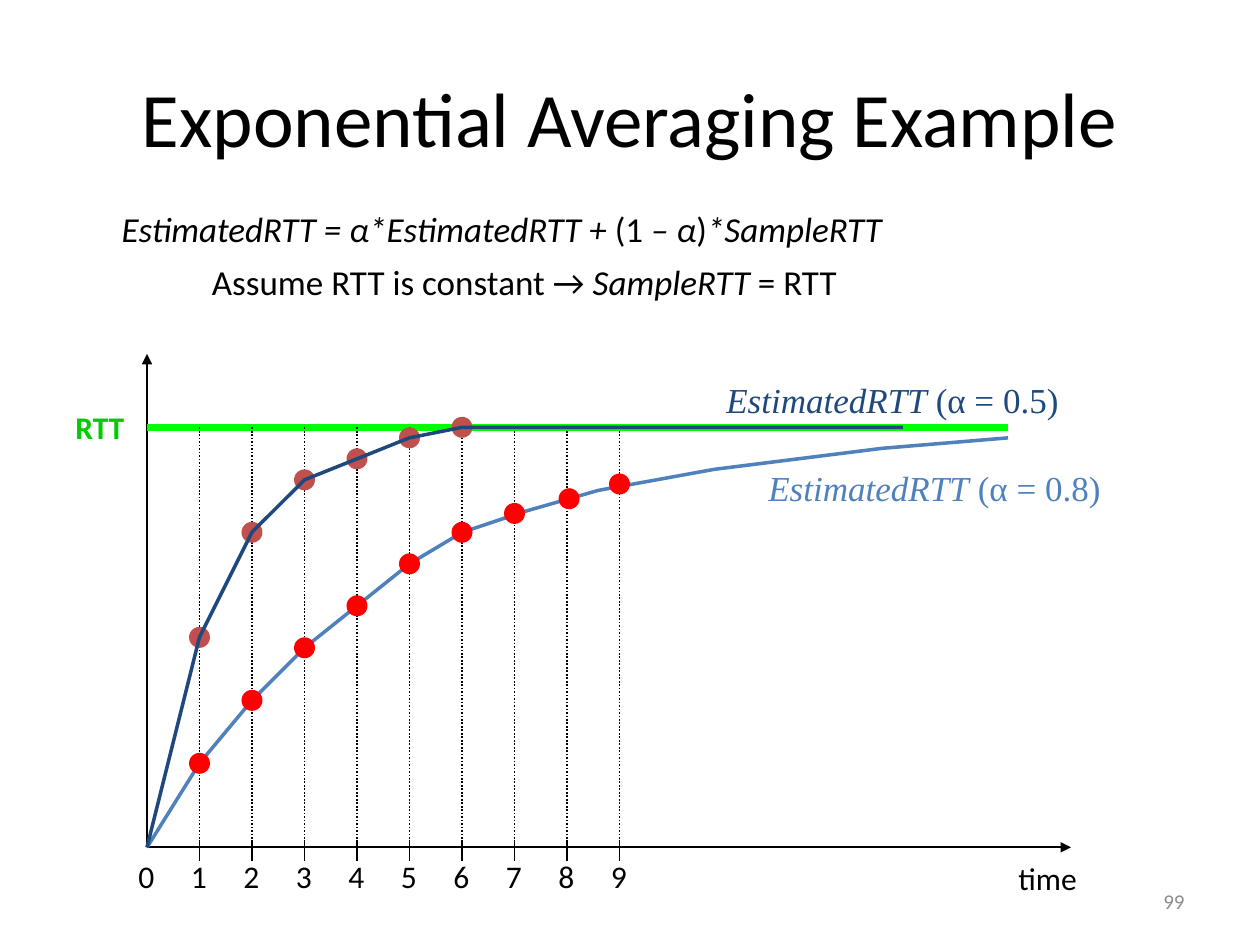
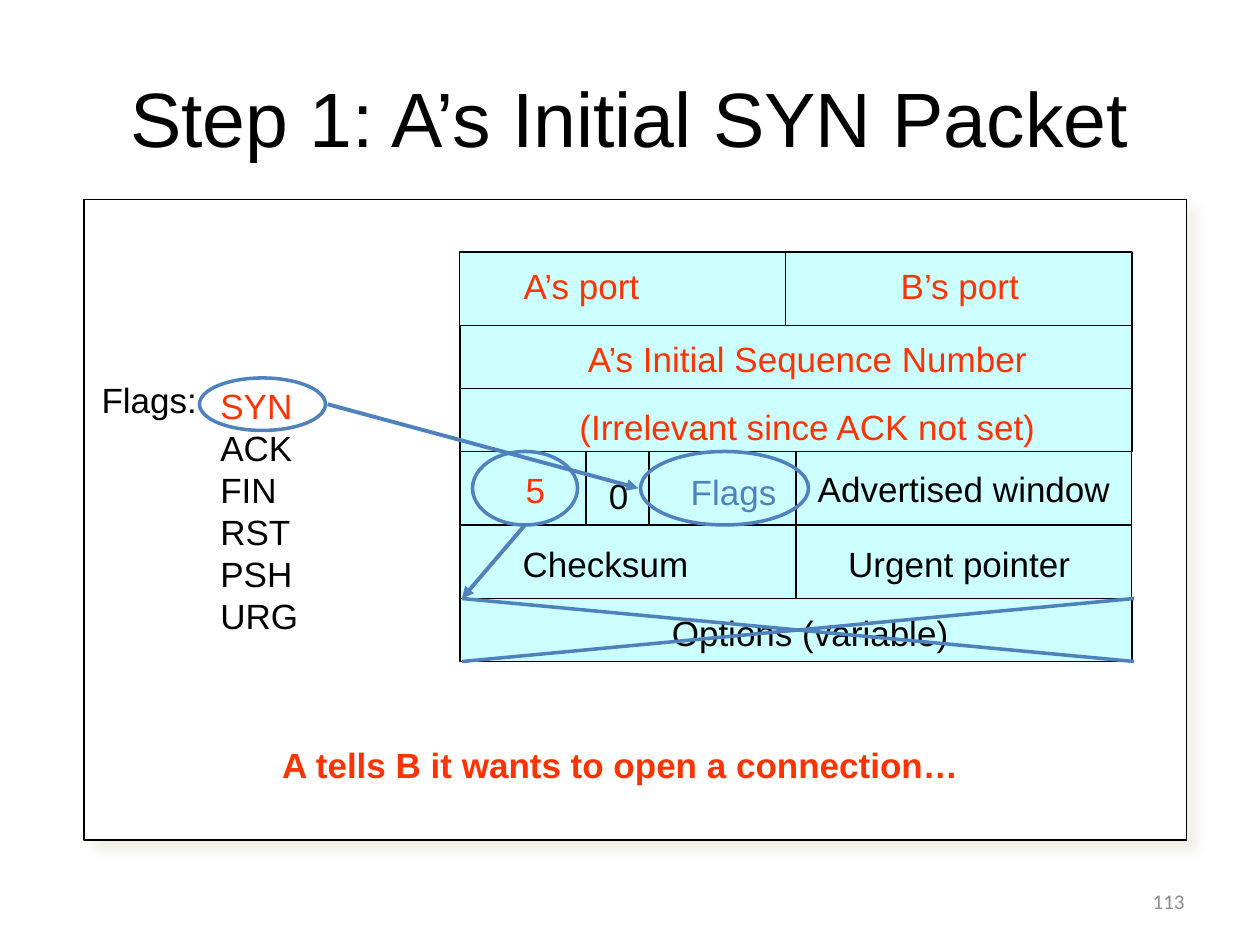
from pptx import Presentation
from pptx import util as u
from pptx.dml.color import RGBColor
from pptx.enum import dml, shapes, text
from pptx.oxml.ns import qn
from lxml import etree

SCALE = 7620  # EMU per px, 120 px to the inch
BLACK = RGBColor(0x00, 0x00, 0x00)
WHITE = RGBColor(0xFF, 0xFF, 0xFF)
GREY = RGBColor(0x8C, 0x8C, 0x8C)
LIME = RGBColor(0x00, 0xFF, 0x00)
GREEN = RGBColor(0x00, 0xCC, 0x00)
BLUE = RGBColor(0x4F, 0x81, 0xBD)
NAVY = RGBColor(0x1F, 0x49, 0x7D)
RED = RGBColor(0xFF, 0x00, 0x00)
BRICK = RGBColor(0xC0, 0x50, 0x4D)
ORANGE = RGBColor(0xFF, 0x33, 0x00)
CYAN = RGBColor(0xCC, 0xFF, 0xFF)
ALIGN = text.PP_ALIGN

# Averaging chart: origin, time step and levels
ORIGIN_X, AXIS_Y, STEP, RTT_Y = 140, 807, 50, 407
SAMPLES = 9
FORMULAS = [  # box, runs as (text, italic)
    ((104, 192, 886, 52), [("EstimatedRTT = α*EstimatedRTT + ", True), ("(1", False),
                           (" – α", True), (")", False), ("*SampleRTT", True)]),
    ((190, 242, 725, 52), [("Assume RTT is constant → ", False), ("SampleRTT", True),
                           (" = RTT", False)]),
]
SLOW_YS = [727, 667, 617, 577, 537, 507]
FAST_YS = [607, 507, 457, 437, 417, 407]
ESTIMATES = [  # steady levels per step, later curve points, later dots
    dict(alpha="0.8", ys=SLOW_YS, color=BLUE, dot=RED, label=(720, 438, 341, 52),
         tail=[(500, 487), (570, 467), (680, 447), (840, 427), (960, 417)],
         extra_dots=[(490, 489), (542, 475), (590, 461)], dots_in_front=True),
    dict(alpha="0.5", ys=FAST_YS, color=NAVY, dot=BRICK, label=(680, 355, 341, 52),
         tail=[(860, RTT_Y)], extra_dots=[], dots_in_front=False),
]

# SYN packet: header rows as (height, field widths)
HEADER_LEFT, HEADER_TOP = 438, 240
HEADER_ROWS = [(70, (310, 330)), (60, (640,)), (60, (640,)),
               (70, (320, 320)), (70, (320, 320)), (60, (640,))]
FIELD_DIVIDERS = [558, 618]
FIELD_LABELS = [
    ("A’s port", (487, 246, 139, 53), ORANGE),
    ("B’s port", (846, 246, 137, 53), ORANGE),
    ("A’s Initial Sequence Number", (548, 316, 450, 53), ORANGE),
    ("(Irrelevant since ACK not set)", (540, 380, 460, 48), ORANGE),
    ("Advertised window", (767, 439, 302, 52), BLACK),
    ("Flags", (646, 442, 106, 52), BLUE),
    ("0", (568, 446, 43, 52), BLACK),
    ("Checksum", (486, 511, 181, 52), BLACK),
    ("Urgent pointer", (796, 511, 235, 52), BLACK),
    ("Options (variable)", (628, 576, 287, 52), BLACK),
]
FLAG_NAMES = ["SYN", "ACK", "FIN", "RST", "PSH", "URG"]
HIGHLIGHTS = [(610, 430, 160, 70), (190, 360, 120, 50), (450, 430, 100, 70)]
POINTERS = [((312, 385), (608, 465)), ((500, 500), (440, 570))]
OPTIONS_CROSS = [((440, 570), (1080, 630)), ((440, 630), (1080, 570))]


def px(*lengths):
    return [u.Emu(length * SCALE) for length in lengths]


def style(paragraph, size, color, font, bold=False):
    for run in paragraph.runs:
        run.font.size = u.Pt(size)
        run.font.name = font
        run.font.bold = bold
        run.font.color.rgb = color


def add_text(slide, content, box, size=20, color=BLACK, font="Calibri", bold=False,
             align=None, wrap=False, middle=False):
    """Content is a string, or a list of (text, italic) runs."""
    label = slide.shapes.add_textbox(*px(*box))
    frame = label.text_frame
    if isinstance(content, str):
        frame.text = content
    else:
        for words, italic in content:
            run = frame.paragraphs[0].add_run()
            run.text = words
            run.font.italic = italic
    frame.word_wrap = wrap
    if not wrap:  # spare room so that a snug label stays on one line
        frame.margin_right = 0
        if align == ALIGN.CENTER:
            frame.margin_left = 0
    if middle:
        frame.vertical_anchor = text.MSO_ANCHOR.MIDDLE
    elif wrap:
        frame.auto_size = text.MSO_AUTO_SIZE.SHAPE_TO_FIT_TEXT
    else:
        frame.auto_size = text.MSO_AUTO_SIZE.NONE
    for paragraph in frame.paragraphs:
        paragraph.alignment = align or ALIGN.LEFT
        style(paragraph, size, color, font, bold)
    return label


def paint(shape, fill, line, width):
    shape.shadow.inherit = False
    if fill is None:
        shape.fill.background()
    else:
        shape.fill.solid()
        shape.fill.fore_color.rgb = fill
    if line is None:
        shape.line.fill.background()
    else:
        shape.line.color.rgb = line
        shape.line.width = u.Pt(width)
    return shape


def add_box(slide, kind, box, fill=None, line=None, width=0.75):
    return paint(slide.shapes.add_shape(kind, *px(*box)), fill, line, width)


def add_line(slide, start, end, color=BLACK, width=1, arrow=False, dotted=False):
    link = slide.shapes.add_connector(shapes.MSO_CONNECTOR.STRAIGHT, *px(*start, *end))
    link.line.color.rgb = color
    link.line.width = u.Pt(width)
    if dotted:
        link.line.dash_style = dml.MSO_LINE.ROUND_DOT
    properties = link._element.spPr
    if arrow:
        etree.SubElement(properties.find(qn("a:ln")), qn("a:tailEnd"), type="triangle")
    etree.SubElement(properties, qn("a:effectLst"))


def add_slide(deck, title, number, font):
    slide = deck.slides.add_slide(deck.slide_layouts[6])
    add_text(slide, title, (60, 36, 1080, 150), 44, font=font,
             align=ALIGN.CENTER, wrap=True, middle=True)
    add_text(slide, number, (860, 834, 280, 48), 12, GREY,
             align=ALIGN.RIGHT, wrap=True, middle=True)
    return slide


def add_curve(slide, points, color):
    builder = slide.shapes.build_freeform(*points[0], scale=SCALE)
    builder.add_line_segments(points[1:], close=False)
    paint(builder.convert_to_shape(), None, color, 2)


def add_dots(slide, centres, color):
    for x, y in centres:
        add_box(slide, shapes.MSO_SHAPE.OVAL, (x - 10, y - 10, 20, 20), color)


def build_averaging(deck):
    slide = add_slide(deck, "Exponential Averaging Example", "99", "Calibri")
    for box, runs in FORMULAS:
        add_text(slide, runs, box)

    # Axes and the constant RTT level
    origin = (ORIGIN_X, AXIS_Y)
    add_line(slide, origin, (ORIGIN_X, 337), arrow=True)
    add_line(slide, origin, (1020, AXIS_Y), arrow=True)
    add_line(slide, (ORIGIN_X, RTT_Y), (960, RTT_Y), LIME, 4)
    add_text(slide, "RTT", (60, 383, 82, 48), 18, GREEN, bold=True)
    add_text(slide, "time", (958, 812, 80, 48), 18)

    # Sample times
    for sample in range(SAMPLES + 1):
        x = ORIGIN_X + sample * STEP
        if sample:
            add_line(slide, (x, RTT_Y), (x, 817), dotted=True)
            add_line(slide, (x, 800), (x, 820))
        add_text(slide, str(sample), (x - 20, 810, 38, 43), 18)

    # Estimate curves
    for estimate in ESTIMATES:
        steps = [(ORIGIN_X + STEP * i, y) for i, y in enumerate(estimate["ys"], 1)]
        dots = steps + estimate["extra_dots"]
        if not estimate["dots_in_front"]:
            add_dots(slide, dots, estimate["dot"])
        add_curve(slide, [origin] + steps + estimate["tail"], estimate["color"])
        if estimate["dots_in_front"]:
            add_dots(slide, dots, estimate["dot"])
        add_text(slide, [("EstimatedRTT", True), (f" (α = {estimate['alpha']})", False)],
                 estimate["label"], color=estimate["color"], font="Times New Roman")


def add_panel(slide):
    panel = add_box(slide, shapes.MSO_SHAPE.RECTANGLE, (80, 190, 1050, 610), WHITE, BLACK)
    effects = panel._element.spPr.find(qn("a:effectLst"))
    shadow = etree.SubElement(effects, qn("a:outerShdw"), blurRad="63500", dist="107950",
                              dir="2700000", algn="tl", rotWithShape="0")
    tint = etree.SubElement(shadow, qn("a:srgbClr"), val="EEECE1")
    etree.SubElement(tint, qn("a:alpha"), val="75000")


def build_syn(deck):
    slide = add_slide(deck, "Step 1: A’s Initial SYN Packet", "113", "Arial")
    add_panel(slide)

    # Packet header
    top = HEADER_TOP
    for height, widths in HEADER_ROWS:
        left = HEADER_LEFT
        for width in widths:
            add_box(slide, shapes.MSO_SHAPE.RECTANGLE, (left, top, width, height), CYAN, BLACK)
            left += width
        top += height
    for label, box, color in FIELD_LABELS:
        add_text(slide, label, box, color=color, font="Arial")
    add_text(slide, "5", (440, 440, 140, 52), color=ORANGE, font="Arial",
             align=ALIGN.CENTER, wrap=True)
    for x in FIELD_DIVIDERS:
        add_line(slide, (x, 430), (x, 500), width=0.75)

    # Flag list, with SYN picked out
    add_text(slide, "Flags:", (85, 355, 115, 52), font="Arial")
    flags = add_text(slide, "\n".join(FLAG_NAMES), (198, 360, 98, 252), font="Arial")
    style(flags.text_frame.paragraphs[0], 20, ORANGE, "Arial")
    add_text(slide, "A tells B it wants to open a connection…", (257, 702, 668, 52),
             color=ORANGE, font="Arial", bold=True, align=ALIGN.CENTER)

    # Marks over the header
    for box in HIGHLIGHTS:
        add_box(slide, shapes.MSO_SHAPE.OVAL, box, line=BLUE, width=2)
    for start, end in OPTIONS_CROSS:
        add_line(slide, start, end, BLUE, 2)
    for start, end in POINTERS:
        add_line(slide, start, end, BLUE, 2.25, arrow=True)


def main():
    deck = Presentation()
    deck.slide_width, deck.slide_height = px(1200, 900)
    build_averaging(deck)
    build_syn(deck)
    deck.save("out.pptx")


if __name__ == "__main__":
    main()
